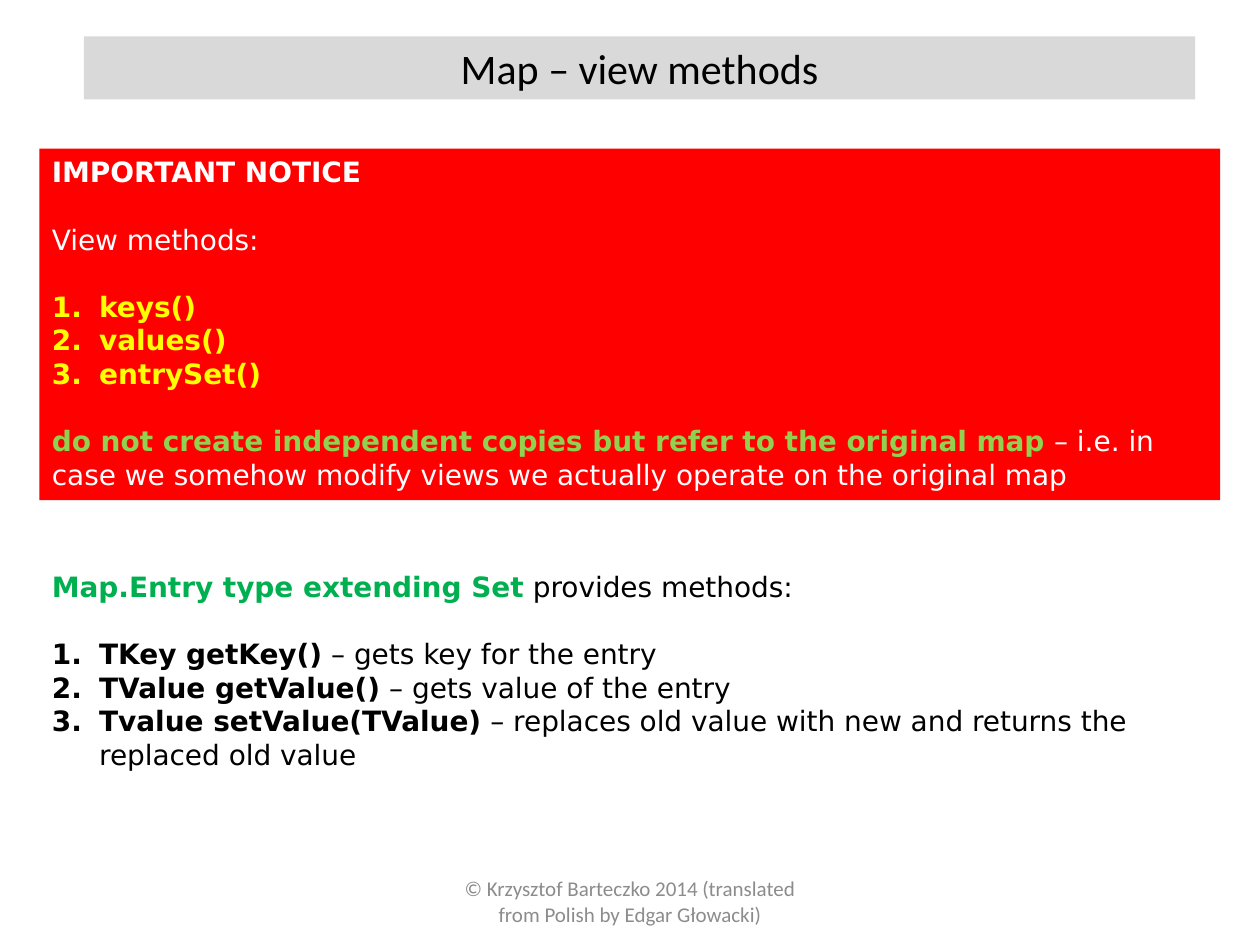
from dataclasses import dataclass

from lxml import etree
from pptx import Presentation
from pptx.dml.color import RGBColor
from pptx.enum.text import MSO_ANCHOR, MSO_AUTO_SIZE, PP_ALIGN
from pptx.oxml.ns import qn
from pptx.util import Pt

CENTER, LEFT = PP_ALIGN.CENTER, PP_ALIGN.LEFT
TOP, MIDDLE = MSO_ANCHOR.TOP, MSO_ANCHOR.MIDDLE
NO_FIT = MSO_AUTO_SIZE.NONE
TITLE_ONLY = 5


@dataclass(frozen=True)
class Theme:
    heading_font: str = "Calibri"
    body_font: str = "DejaVu Sans"
    title_size: float = 24
    body_size: float = 16
    footer_size: float = 12
    line_gap: float = 19.2
    list_indent: float = 27
    black: str = "000000"
    white: str = "FFFFFF"
    gray: str = "8C8C8C"
    band: str = "D9D9D9"
    red: str = "FF0000"
    yellow: str = "FFFF00"
    lime: str = "92D050"
    green: str = "00B050"


THEME = Theme()


def body_style(color, bold=False):
    return {"name": THEME.body_font, "size": Pt(THEME.body_size),
            "bold": bold, "color": color}


def heading_style(size, color):
    return {"name": THEME.heading_font, "size": Pt(size),
            "bold": False, "color": color}


def place(box, left, top, width, height):
    bounds = {"left": left, "top": top, "width": width, "height": height}
    for name, value in bounds.items():
        setattr(box, name, Pt(value))


def fill_solid(box, color):
    box.fill.solid()
    box.fill.fore_color.rgb = RGBColor.from_string(color)


def format_frame(box, anchor):
    values = {"word_wrap": True, "auto_size": NO_FIT, "vertical_anchor": anchor}
    for name, value in values.items():
        setattr(box.text_frame, name, value)


def add_span(para, text, style):
    span = para.add_run()
    span.text = text
    for name, value in style.items():
        if name == "color":
            span.font.color.rgb = RGBColor.from_string(value)
        else:
            setattr(span.font, name, value)


def number_paragraph(para):
    """Give the paragraph an automatic number with a hanging indent."""
    properties = para._p.get_or_add_pPr()
    indent = Pt(THEME.list_indent)
    properties.set("marL", str(indent))
    properties.set("indent", str(-indent))
    etree.SubElement(properties, qn("a:buAutoNum"), type="arabicPeriod")


def write_paragraph(para, spans, align=LEFT, gap=False, numbered=False):
    para.alignment = align
    para.space_before = Pt(THEME.line_gap if gap else 0)
    if numbered:
        number_paragraph(para)
    for text, style in spans:
        add_span(para, text, style)


def write_paragraphs(box, paragraphs):
    """Write (spans, options) pairs, one paragraph each."""
    frame = box.text_frame
    for index, (spans, options) in enumerate(paragraphs):
        para = frame.add_paragraph() if index else frame.paragraphs[0]
        write_paragraph(para, spans, **options)


def numbered_list(items):
    return [(spans, {"numbered": True, "gap": index == 0})
            for index, spans in enumerate(items)]


def add_text_box(page, bounds, paragraphs, anchor=TOP, fill=None):
    box = page.shapes.add_textbox(*map(Pt, bounds))
    format_frame(box, anchor)
    if fill:
        fill_solid(box, fill)
    write_paragraphs(box, paragraphs)


def set_title(page, text):
    title = page.shapes.title
    place(title, 48, 20.8, 635, 36)
    fill_solid(title, THEME.band)
    format_frame(title, TOP)
    style = heading_style(THEME.title_size, THEME.black)
    write_paragraphs(title, [([(text, style)], {"align": CENTER})])


def add_notice(page):
    plain = body_style(THEME.white)
    strong = body_style(THEME.white, bold=True)
    method = body_style(THEME.yellow, bold=True)
    warning = body_style(THEME.lime, bold=True)
    names = ("keys()", "values()", "entrySet()")
    paragraphs = [
        ([("IMPORTANT NOTICE", strong)], {}),
        ([("View methods:", plain)], {"gap": True}),
        *numbered_list([[(name, method)] for name in names]),
        ([("do not create independent copies but refer to the original map", warning),
          (" – i.e. in case we somehow modify views we actually operate "
           "on the original map", plain)], {"gap": True}),
    ]
    add_text_box(page, (22.6, 85, 674.7, 200.8), paragraphs, fill=THEME.red)


def add_entry_methods(page):
    plain = body_style(THEME.black)
    strong = body_style(THEME.black, bold=True)
    methods = (
        ("TKey getKey()", "gets key for the entry"),
        ("TValue getValue()", "gets value of the entry"),
        ("Tvalue setValue(TValue)",
         "replaces old value with new and returns the replaced old value"),
    )
    items = [[(name, strong), (f" – {purpose}", plain)] for name, purpose in methods]
    paragraphs = [
        ([("Map.Entry type extending Set", body_style(THEME.green, bold=True)),
          (" provides methods:", plain)], {}),
        *numbered_list(items),
    ]
    add_text_box(page, (22.6, 322, 674.7, 124), paragraphs)


def add_footer(page):
    text = "© Krzysztof Barteczko 2014 (translated from Polish by Edgar Głowacki)"
    style = heading_style(THEME.footer_size, THEME.gray)
    add_text_box(page, (246, 500.5, 228, 28.8),
                 [([(text, style)], {"align": CENTER})], anchor=MIDDLE)


def main():
    deck = Presentation()
    deck.slide_width, deck.slide_height = Pt(720), Pt(540)
    page = deck.slides.add_slide(deck.slide_layouts[TITLE_ONLY])
    set_title(page, "Map – view methods")
    add_notice(page)
    add_entry_methods(page)
    add_footer(page)
    deck.save("out.pptx")


if __name__ == "__main__":
    main()
